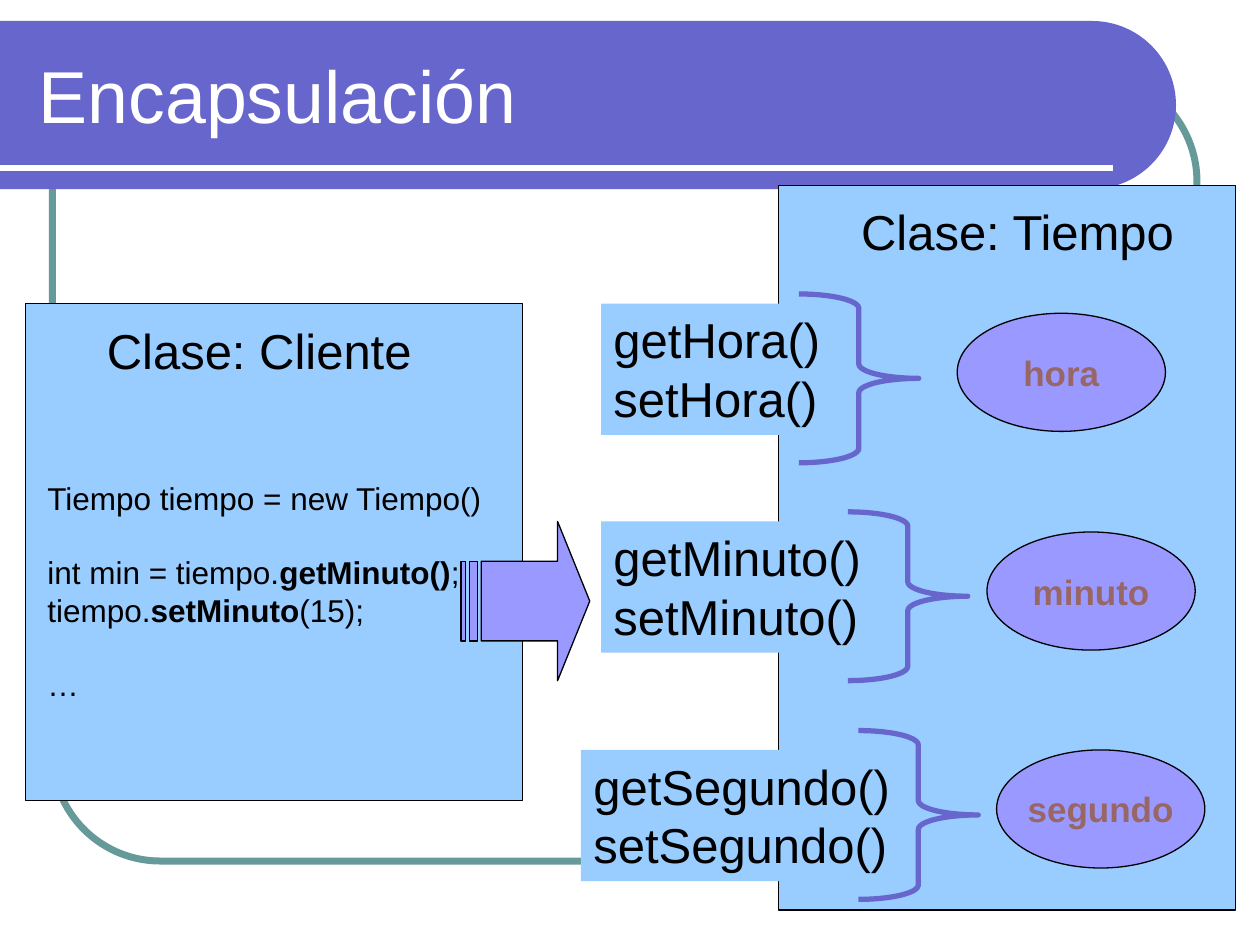
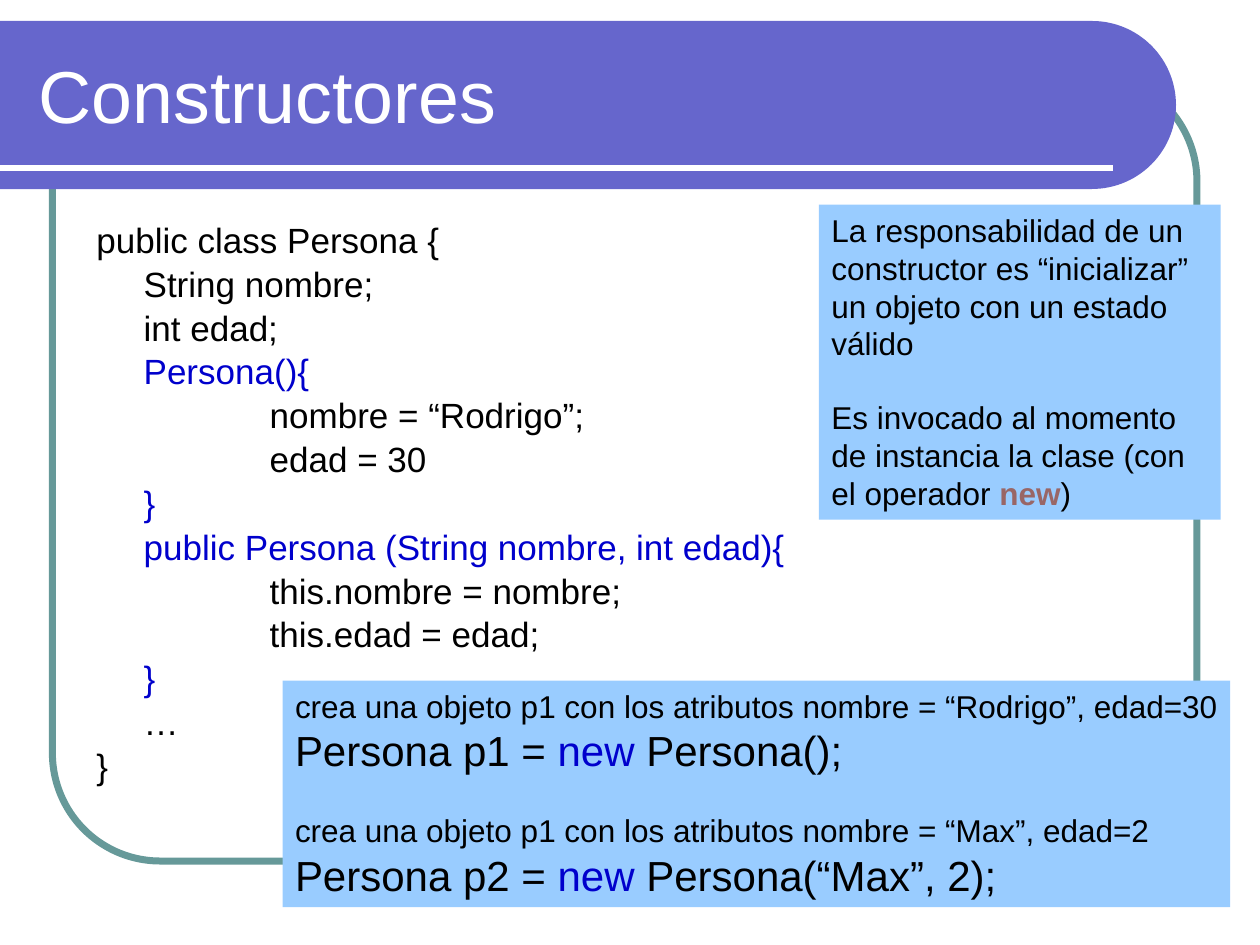
import math
from dataclasses import dataclass

from lxml import etree
from pptx import Presentation
from pptx.dml.color import RGBColor
from pptx.enum import shapes, text
from pptx.oxml.ns import qn
from pptx.util import Pt

KIND = shapes.MSO_SHAPE


@dataclass(frozen=True)
class Theme:
    font: str = "Arial"
    band: str = "6666CC"
    frame: str = "669999"
    card: str = "99CCFF"
    oval: str = "9999FF"
    white: str = "FFFFFF"
    black: str = "000000"
    blue: str = "0000CC"
    brown: str = "996666"
    title: int = 42
    head: int = 28
    call: int = 24
    code: int = 20
    note: int = 18
    thin: float = 0.75
    thick: float = 3
    edge: float = 4


@dataclass
class Par:
    """One paragraph; runs are (text, colour, bold) tuples."""
    runs: list
    size: float
    gap: float = 0
    indent: float = 0
    pitch: float = 1


T = Theme()
BLANK = 20.7  # height of an empty line of note text


def rgb(code):
    return RGBColor.from_string(code)


def plain(words, size, color=T.black, bold=False, **more):
    return Par([(words, color, bold)], size, **more)


def write(shape, pars, wrap=False, align=text.PP_ALIGN.LEFT,
          anchor=text.MSO_ANCHOR.TOP):
    frame = shape.text_frame
    frame.word_wrap = wrap
    frame.vertical_anchor = anchor
    for i, par in enumerate(pars):
        line = frame.paragraphs[0] if i == 0 else frame.add_paragraph()
        line.alignment = align
        line.space_before = Pt(par.gap)
        line.line_spacing = par.pitch
        if par.indent:
            line._p.get_or_add_pPr().set("marL", str(Pt(par.indent)))
        for words, color, bold in par.runs:
            run = line.add_run()
            run.text = words
            font = run.font
            font.name, font.size, font.bold = T.font, Pt(par.size), bold
            font.color.rgb = rgb(color)


def paint(shape, fill=None, line=None, width=T.thin):
    shape.shadow.inherit = False
    if fill:
        shape.fill.solid()
        shape.fill.fore_color.rgb = rgb(fill)
    else:
        shape.fill.background()
    if line:
        shape.line.color.rgb = rgb(line)
        shape.line.width = Pt(width)
    else:
        shape.line.fill.background()


def draw(slide, kind, box, adjust=(), **look):
    shape = slide.shapes.add_shape(kind, *map(Pt, box))
    for i, value in enumerate(adjust):
        shape.adjustments[i] = value
    paint(shape, **look)
    return shape


def label(slide, box, pars, **style):
    write(slide.shapes.add_textbox(*map(Pt, box)), pars, **style)


def card(slide, box, pars=(), line=None, **style):
    shape = draw(slide, KIND.RECTANGLE, box, fill=T.card, line=line)
    write(shape, pars, **style)


def band(slide, right, top, height):
    """Title band with a half-round right end."""
    radius = height / 2
    angles = [math.radians(a) for a in range(-90, 91, 3)]
    arc = [(Pt(right - radius + radius * math.cos(a)),
            Pt(top + radius + radius * math.sin(a))) for a in angles]
    path = slide.shapes.build_freeform(0, Pt(top))
    path.add_line_segments(arc + [(0, Pt(top + height))], close=True)
    paint(path.convert_to_shape(), fill=T.band)


def rule(slide, right, y):
    line = slide.shapes.add_connector(
        shapes.MSO_CONNECTOR.STRAIGHT, 0, Pt(y), Pt(right), Pt(y))
    line.line.color.rgb = rgb(T.white)
    line.line.width = Pt(T.thick)
    etree.SubElement(line._element.spPr, qn("a:effectLst"))


def start(deck, title):
    """Add a slide with the shared frame, band, rule and title."""
    slide = deck.slides.add_slide(deck.slide_layouts[6])
    draw(slide, KIND.ROUNDED_RECTANGLE, (30, 42, 654, 450), [0.137],
         line=T.frame, width=T.edge)
    band(slide, 672, 12, 96)
    rule(slide, 636, 96)
    label(slide, (15, 18, 631, 72), [plain(title, T.title, T.white)],
          wrap=True, anchor=text.MSO_ANCHOR.MIDDLE)
    return slide


def field(slide, name, methods, brace, oval):
    """Accessor card, brace and oval of one private field."""
    upper = name.capitalize()
    card(slide, methods, [plain(f"{verb}{upper}()", T.head)
                          for verb in ("get", "set")])
    draw(slide, KIND.RIGHT_BRACE, (*brace, 68.5, 96.5), [0.12, 0.5],
         line=T.band, width=T.thick)
    shape = draw(slide, KIND.OVAL, (*oval, 119, 67.5),
                 fill=T.oval, line=T.black)
    write(shape, [plain(name, T.code, T.brown, True)],
          align=text.PP_ALIGN.CENTER, anchor=text.MSO_ANCHOR.MIDDLE)


def hiding(deck):
    slide = start(deck, "Encapsulación")
    card(slide, (445, 106, 261, 414), line=T.black)
    card(slide, (485, 111.5, 194.5, 41), [plain("Clase: Tiempo", T.head)])
    field(slide, "hora", (343.5, 173.5, 132.5, 75),
          (456.5, 168), (547, 179))
    field(slide, "minuto", (343.5, 298, 155.5, 75),
          (484.5, 292.5), (564, 304))
    field(slide, "segundo", (332, 428.5, 183.5, 75),
          (490.5, 417.5), (569.5, 428.5))
    card(slide, (14.5, 173.5, 284, 284), line=T.black)
    label(slide, (20, 270, 263.5, 137), [
        plain("Tiempo tiempo = new Tiempo()", T.note),
        Par([("int min = tiempo.", T.black, False),
             ("getMinuto()", T.black, True),
             (";", T.black, False)], T.note, gap=BLANK),
        Par([("tiempo.", T.black, False), ("setMinuto", T.black, True),
             ("(15);", T.black, False)], T.note),
        plain("…", T.note, gap=BLANK)])
    card(slide, (54, 179.5, 188, 41), [plain("Clase: Cliente", T.head)])
    draw(slide, KIND.STRIPED_RIGHT_ARROW, (263.5, 298, 73.5, 91),
         [0.5, 0.25], fill=T.oval, line=T.black)


def sample(values, call, gap=0):
    """Remark and code line of one constructor call."""
    name, args = call
    remark = f"crea una objeto p1 con los atributos nombre = {values}"
    return [plain(remark, T.note, gap=gap),
            Par([(f"Persona {name} = ", T.black, False),
                 ("new", T.blue, False),
                 (f" Persona({args});", T.black, False)], T.call)]


def makers(deck):
    slide = start(deck, "Constructores")
    tabs = (0, 27, 99)
    code = [
        (0, "public class Persona {", T.black),
        (1, "String nombre;", T.black),
        (1, "int edad;", T.black),
        (1, "Persona(){", T.blue),
        (2, "nombre = “Rodrigo”;", T.black),
        (2, "edad = 30", T.black),
        (1, "}", T.blue),
        (1, "public Persona (String nombre, int edad){", T.blue),
        (2, "this.nombre = nombre;", T.black),
        (2, "this.edad = edad;", T.black),
        (1, "}", T.blue),
        (1, "…", T.black),
        (0, "}", T.black),
    ]
    label(slide, (48, 126, 624, 348),
          [plain(words, T.code, color, gap=5.8, indent=tabs[level], pitch=0.8)
           for level, words, color in code], wrap=True)
    card(slide, (468, 117, 229.5, 180), [
        plain("La responsabilidad de un constructor es “inicializar” "
              "un objeto con un estado válido", T.note),
        Par([("Es invocado al momento de instancia la clase "
              "(con el operador ", T.black, False),
             ("new", T.brown, True), (")", T.black, False)],
            T.note, gap=BLANK)], wrap=True)
    card(slide, (161.5, 389, 541.5, 129.5),
         sample("“Rodrigo”, edad=30", ("p1", ""))
         + sample("“Max”, edad=2", ("p2", "“Max”, 2"), gap=BLANK))


def main():
    deck = Presentation()
    deck.slide_width, deck.slide_height = Pt(720), Pt(540)
    hiding(deck)
    makers(deck)
    deck.save("out.pptx")


if __name__ == "__main__":
    main()
